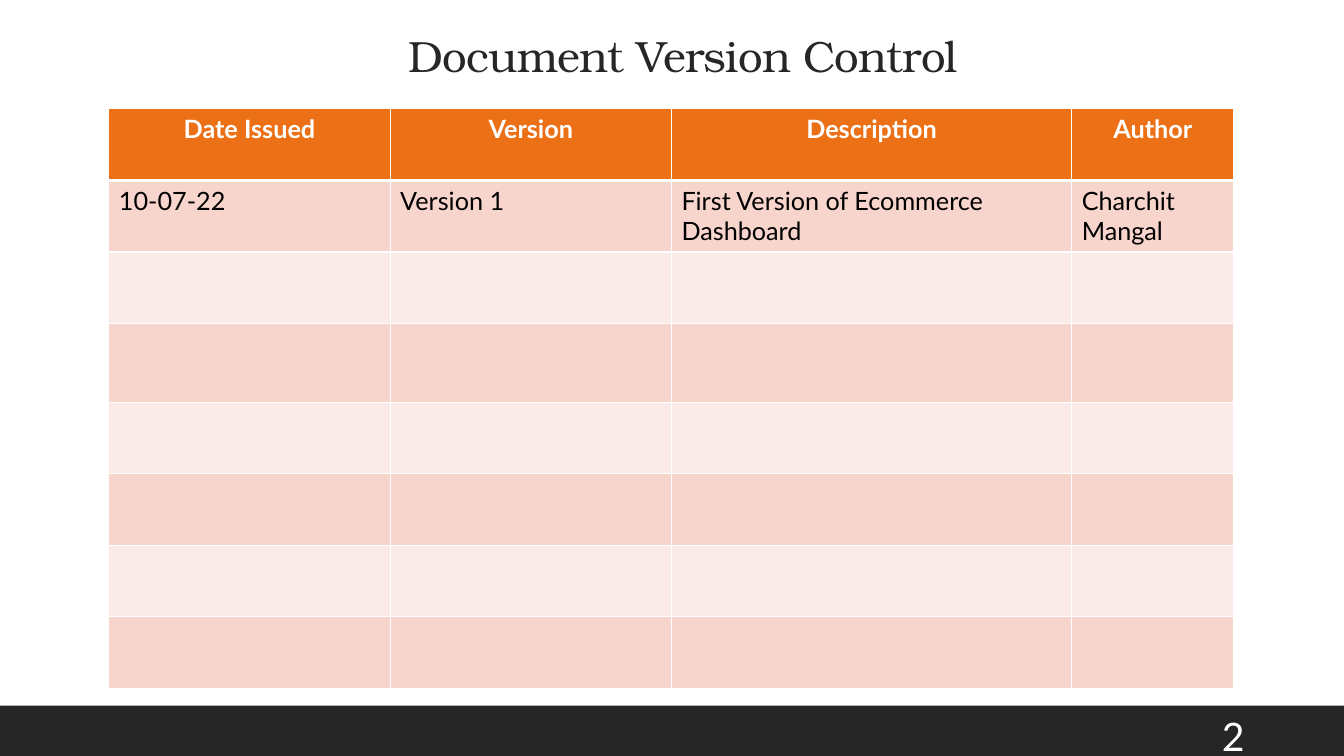
from dataclasses import dataclass

from lxml import etree
from pptx import Presentation
from pptx.dml.color import RGBColor
from pptx.enum.shapes import MSO_SHAPE
from pptx.enum.text import MSO_ANCHOR, PP_ALIGN
from pptx.oxml.ns import qn
from pptx.util import Inches, Pt

RECT = MSO_SHAPE.RECTANGLE
LEFT, CENTER = PP_ALIGN.LEFT, PP_ALIGN.CENTER
BOTTOM, MIDDLE = MSO_ANCHOR.BOTTOM, MSO_ANCHOR.MIDDLE


@dataclass(frozen=True)
class Theme:
    dark: str = "262626"
    white: str = "FFFFFF"
    black: str = "000000"
    head: str = "EC7016"
    bands: tuple = ("F8D5CC", "FBEBE8")
    serif: str = "TeX Gyre Bonum"
    sans: str = "Lato"
    title: float = 31.2
    body: float = 18
    page: float = 28


THEME = Theme()
COLS = (2.79, 2.79, 3.97, 1.61)
ROWS = (0.71, 0.71, 0.71, 0.78, 0.71, 0.71, 0.71, 0.71)
TEXTS = (
    ("Date Issued", "Version", "Description", "Author"),
    ("10-07-22", "Version 1", "First Version of Ecommerce Dashboard",
     "Charchit Mangal"),
)


def style(para, font, size, color, bold=False, align=LEFT):
    para.alignment = align
    for run in para.runs:
        run.font.name = font
        run.font.size = Pt(size)
        run.font.bold = bold
        run.font.color.rgb = RGBColor.from_string(color)


def add_text(slide, box, text, anchor, *look, **more):
    frame = slide.shapes.add_textbox(*map(Inches, box)).text_frame
    frame.word_wrap = True
    frame.vertical_anchor = anchor
    frame.text = text
    para = frame.paragraphs[0]
    style(para, *look, **more)
    return para


def add_title(slide, text):
    para = add_text(slide, (1.19, 0.26, 11.17, 0.6), text, BOTTOM,
                    THEME.serif, THEME.title, THEME.dark, align=CENTER)
    para.line_spacing = 0.9
    para.runs[0].font._element.set("spc", "-50")


def add_footer(slide, page):
    bar = slide.shapes.add_shape(RECT, 0, Inches(7), Inches(13.33), Inches(0.5))
    bar.shadow.inherit = False
    bar.fill.solid()
    bar.fill.fore_color.rgb = RGBColor.from_string(THEME.dark)
    bar.line.fill.background()
    add_text(slide, (12.02, 7.05, 0.92, 0.5), page, MIDDLE,
             THEME.sans, THEME.page, THEME.white)


def set_edges(cell, top, bottom):
    """Draw white cell borders; top and bottom are widths in points."""
    props = cell._tc.get_or_add_tcPr()
    for tag, width in (("lnL", 1), ("lnR", 1), ("lnT", top), ("lnB", bottom)):
        edge = etree.SubElement(props, qn(f"a:{tag}"), w=str(Pt(width)))
        fill = etree.SubElement(edge, qn("a:solidFill"))
        etree.SubElement(fill, qn("a:srgbClr"), val=THEME.white)


def fill_cell(cell, row, text):
    head = row == 0
    set_edges(cell, 3 if row == 1 else 1, 3 if head else 1)
    color = THEME.head if head else THEME.bands[(row - 1) % 2]
    cell.fill.solid()
    cell.fill.fore_color.rgb = RGBColor.from_string(color)
    if text:
        cell.text_frame.text = text
        style(cell.text_frame.paragraphs[0], THEME.sans, THEME.body,
              THEME.white if head else THEME.black, head,
              CENTER if head else LEFT)


def add_grid(slide):
    box = (1.08, 1.08, sum(COLS), sum(ROWS))
    table = slide.shapes.add_table(
        len(ROWS), len(COLS), *map(Inches, box)).table
    for col, width in zip(table.columns, COLS):
        col.width = Inches(width)
    for r, height in enumerate(ROWS):
        table.rows[r].height = Inches(height)
        texts = TEXTS[r] if r < len(TEXTS) else ("",) * len(COLS)
        for c, text in enumerate(texts):
            fill_cell(table.cell(r, c), r, text)


def main():
    deck = Presentation()
    deck.slide_width, deck.slide_height = Inches(13.33), Inches(7.5)
    slide = deck.slides.add_slide(deck.slide_layouts[6])
    add_footer(slide, "2")
    add_title(slide, "Document Version Control")
    add_grid(slide)
    deck.save("out.pptx")


if __name__ == "__main__":
    main()
